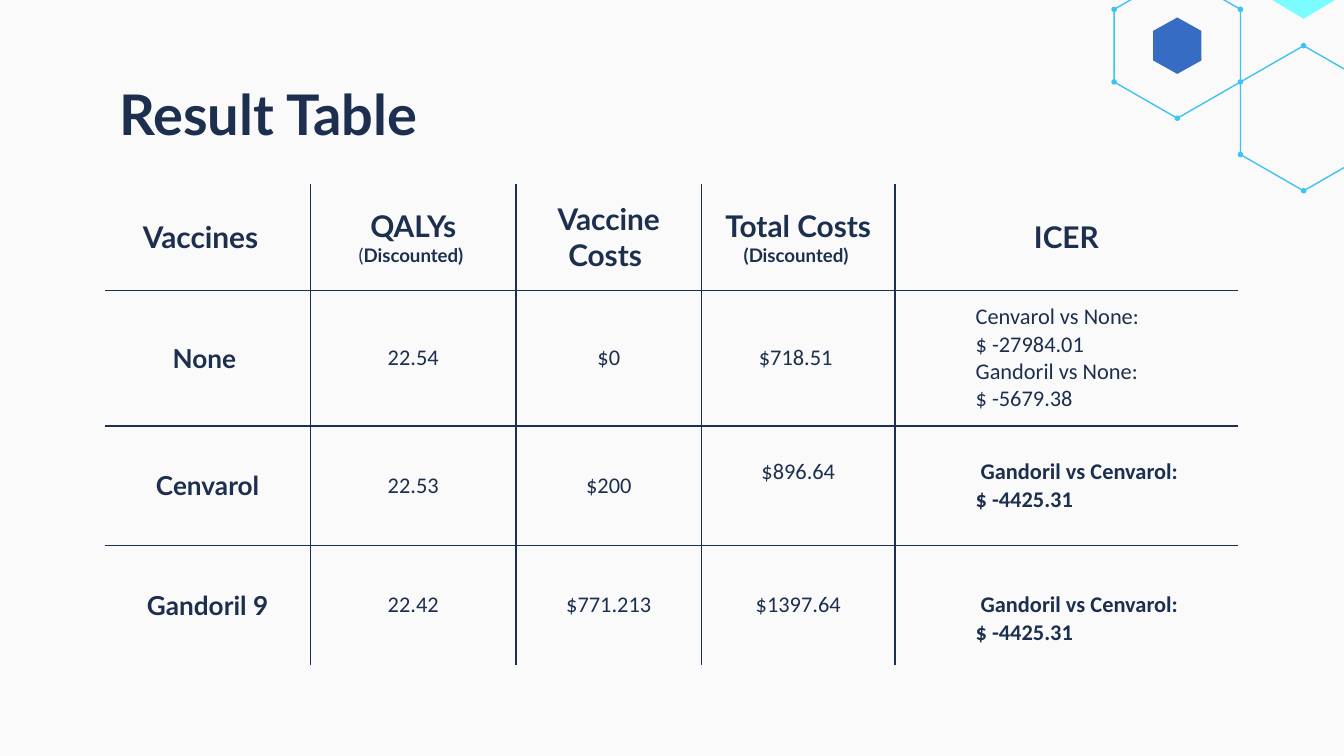
"""Build a slide with a vaccine result table and a hexagon ornament."""
from math import cos, radians, sin

from lxml.etree import SubElement
from pptx import Presentation
from pptx.dml.color import RGBColor
from pptx.enum.shapes import MSO_SHAPE
from pptx.enum.text import MSO_ANCHOR as Anchor, PP_ALIGN as Align
from pptx.oxml.ns import qn
from pptx.util import Inches, Pt

COLORS = {"ground": "FAFAFA", "ink": "1D2F4E", "outline": "3BC3F2",
          "blue": "376CC4", "cyan": "7BFCFF"}
TITLE = "Result Table"
HEADINGS = [["Vaccines "], ["QALYs", ("(", "Discounted) ")], ["Vaccine Costs "],
            ["Total Costs", "(Discounted) "], ["ICER"]]
VACCINES = [
    [["None "], ["22.54"], ["$0"], ["$718.51 "],
     ["Cenvarol vs None:", "$ -27984.01", "Gandoril vs None:", "$ -5679.38"]],
    [["Cenvarol"], ["22.53"], ["$200"], ["$896.64"],
     [" Gandoril vs Cenvarol:", "$ -4425.31"]],
    [["Gandoril 9"], ["22.42"], ["$771.213"], ["$1397.64"],
     [" Gandoril vs Cenvarol:", "$ -4425.31"]],
]
COLUMN_WIDTHS = [1.53, 1.53, 1.38, 1.44, 2.55]
ROW_HEIGHTS = [0.79, 1.01, 0.89, 0.89]
TABLE_LEFT, TABLE_TOP = 0.78, 1.37
ICER = len(COLUMN_WIDTHS) - 1
TOTAL_COSTS = ICER - 1
OUTLINED = [(8.76, 0.34), (9.7, 0.88)]
OUTLINE_RADIUS, DOT = 0.54, 0.03
FILLED = [((8.76, 0.34), 0.21, "blue"), ((9.7, -0.15), 0.29, "cyan")]


def rgb(name):
    return RGBColor.from_string(COLORS[name])


def corners(center, radius):
    x, y = center
    return [(round(x + radius * cos(radians(a)), 2), round(y + radius * sin(radians(a)), 2))
            for a in range(30, 390, 60)]


def add_hexagon(slide, points):
    first, *rest = [(Inches(x), Inches(y)) for x, y in points]
    builder = slide.shapes.build_freeform(*first)
    builder.add_line_segments(rest, close=True)
    hexagon = builder.convert_to_shape()
    hexagon.shadow.inherit = False
    return hexagon


def paint(shape, fill=None, line=None):
    if fill:
        shape.fill.solid()
        shape.fill.fore_color.rgb = rgb(fill)
    else:
        shape.fill.background()
    if line:
        shape.line.color.rgb = rgb(line)
        shape.line.width = Pt(0.75)
    else:
        shape.line.fill.background()


def add_ornament(slide):
    dots = set()
    for center in OUTLINED:
        points = corners(center, OUTLINE_RADIUS)
        paint(add_hexagon(slide, points), line="outline")
        dots.update((x, y) for x, y in points if x <= 10 and y >= 0)
    for x, y in sorted(dots):
        dot = slide.shapes.add_shape(MSO_SHAPE.OVAL, Inches(x - DOT / 2), Inches(y - DOT / 2),
                                     Inches(DOT), Inches(DOT))
        dot.shadow.inherit = False
        paint(dot, "outline", "outline")
    for center, radius, color in FILLED:
        paint(add_hexagon(slide, corners(center, radius)), color)


def set_font(font, size, name, bold):
    font.size, font.name, font.bold = Pt(size), name, bold
    font.color.rgb = rgb("ink")


def set_margins(box):
    box.margin_left = box.margin_right = box.margin_top = box.margin_bottom = Inches(0.1)


def add_title(slide):
    frame = slide.shapes.add_textbox(Inches(0.79), Inches(0.49), Inches(8.43), Inches(0.63)).text_frame
    frame.word_wrap = True
    set_margins(frame)
    frame.paragraphs[0].text = TITLE
    set_font(frame.paragraphs[0].font, 30, "Lato", True)


def set_borders(cell, row, column):
    inner = {"a:lnL": column > 0, "a:lnR": column < ICER,
             "a:lnT": row > 0, "a:lnB": row < len(VACCINES)}
    properties = cell._tc.get_or_add_tcPr()
    for tag, drawn in inner.items():
        edge = SubElement(properties, qn(tag), w=str(Pt(0.75)))
        if drawn:
            SubElement(SubElement(edge, qn("a:solidFill")), qn("a:srgbClr"), val=COLORS["ink"])
        else:
            SubElement(edge, qn("a:noFill"))


def write_line(paragraph, line, row, column):
    parts = line if isinstance(line, tuple) else (line,)
    for part in parts:
        paragraph.add_run().text = part
    if row and column == ICER:
        paragraph._p.get_or_add_pPr().set("marL", str(Inches(0.5)))
    else:
        paragraph.alignment = Align.CENTER
    if row == 0:
        set_font(paragraph.font, 10 if parts[0].startswith("(") else 16, "Lato", True)
    elif column == 0:
        set_font(paragraph.font, 14, "Lato", True)
    else:
        set_font(paragraph.font, 12, "Calibri", column == ICER and row > 1)
    if len(parts) > 1:
        paragraph.runs[0].font.bold = False


def add_results(slide):
    rows = [HEADINGS] + VACCINES
    table = slide.shapes.add_table(
        len(rows), len(COLUMN_WIDTHS), Inches(TABLE_LEFT), Inches(TABLE_TOP),
        Inches(sum(COLUMN_WIDTHS)), Inches(sum(ROW_HEIGHTS))).table
    table.first_row = table.horz_banding = False
    for column, width in zip(table.columns, COLUMN_WIDTHS):
        column.width = Inches(width)
    for row, height in zip(table.rows, ROW_HEIGHTS):
        row.height = Inches(height)
    for r, row in enumerate(rows):
        for c, lines in enumerate(row):
            cell = table.cell(r, c)
            set_borders(cell, r, c)
            cell.fill.background()
            cell.vertical_anchor = Anchor.MIDDLE
            set_margins(cell)
            for i, line in enumerate(lines):
                frame = cell.text_frame
                write_line(frame.add_paragraph() if i else frame.paragraphs[0], line, r, c)
    table.cell(0, 0).margin_right = Inches(0.15)
    table.cell(2, TOTAL_COSTS).margin_bottom = Inches(0.3)
    table.cell(3, ICER).margin_top = Inches(0.3)


def main():
    deck = Presentation()
    deck.slide_width = Inches(10)
    deck.slide_height = deck.slide_width * 9 // 16
    slide = deck.slides.add_slide(deck.slide_layouts[6])
    slide.background.fill.solid()
    slide.background.fill.fore_color.rgb = rgb("ground")
    add_ornament(slide)
    add_title(slide)
    add_results(slide)
    deck.save("out.pptx")


if __name__ == "__main__":
    main()
